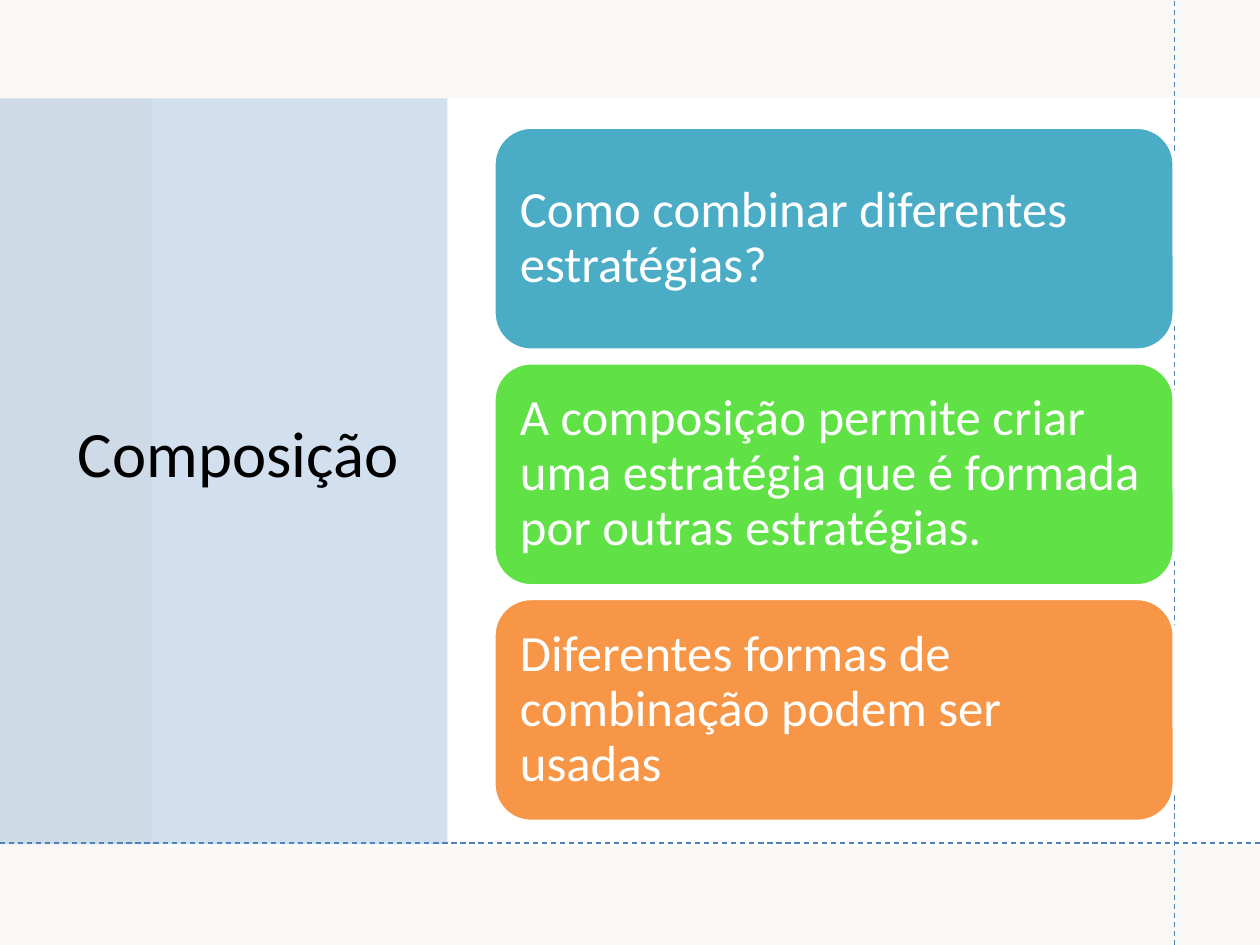
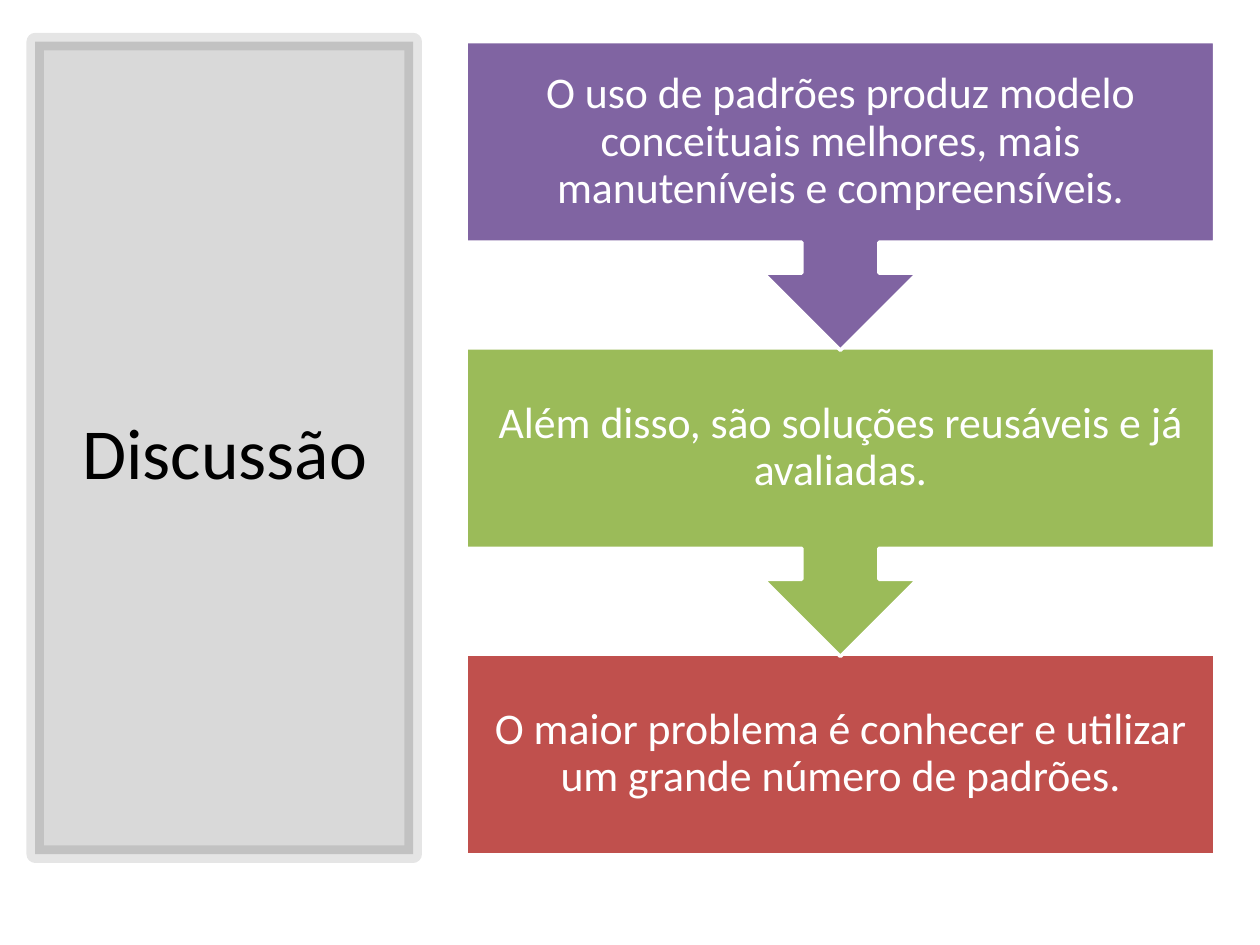
"""Build two slides on design patterns: stacked cards and a chain of callouts."""
from lxml import etree
from pptx import Presentation
from pptx.dml.color import RGBColor
from pptx.enum.dml import MSO_LINE
from pptx.enum.shapes import MSO_CONNECTOR, MSO_SHAPE
from pptx.enum.text import MSO_ANCHOR, PP_ALIGN
from pptx.oxml.ns import qn
from pptx.util import Pt

RECT = MSO_SHAPE.RECTANGLE
ROUNDED = MSO_SHAPE.ROUNDED_RECTANGLE
CALLOUT = MSO_SHAPE.DOWN_ARROW_CALLOUT
STRAIGHT = MSO_CONNECTOR.STRAIGHT
DASH = MSO_LINE.DASH
MIDDLE = MSO_ANCHOR.MIDDLE
LEFT, CENTER = PP_ALIGN.LEFT, PP_ALIGN.CENTER

SCALE = 9144
WIDTH, HEIGHT = 1000, 750
FONT = "Calibri"
WHITE, BLACK, BLUE, CREAM = "FFFFFF", "000000", "4F81BD", "F9F8F4"

COMPOSITION = {
    "title": "Composição",
    "cards": [
        ("Como combinar diferentes estratégias?", "4BACC6"),
        ("A composição permite criar uma estratégia que é formada por outras estratégias.", "60E146"),
        ("Diferentes formas de combinação podem ser usadas", "F79646"),
    ],
}
DISCUSSION = {
    "title": "Discussão",
    "steps": [
        ("O uso de padrões produz modelo conceituais melhores, mais manuteníveis e compreensíveis.", "8064A2"),
        ("Além disso, são soluções reusáveis e já avaliadas.", "9BBB59"),
        ("O maior problema é conhecer e utilizar um grande número de padrões.", "C0504D"),
    ],
}
GUIDES = [(932, HEIGHT, 932, 0), (0, 669, WIDTH, 669)]
CARD_LEFT, CARD_TOP, CARD_WIDTH, CARD_HEIGHT, CARD_GAP = 392, 101, 540, 177, 10
STEP_LEFT, STEP_TOP, STEP_WIDTH, STEP_PITCH = 370, 33, 594, 243
CALLOUT_HEIGHT, STEP_HEIGHT = 245, 159
CARD_TEXT = {"size": 29, "color": WHITE, "align": LEFT, "inset": 12, "spacing": 0.9}
STEP_TEXT = {"size": 25, "color": WHITE, "align": CENTER, "inset": 19, "spacing": 0.9}
TITLE_TEXT = {"color": BLACK, "align": CENTER, "inset": 10, "spacing": 1.0}


def px(*lengths):
    return [round(length * SCALE) for length in lengths]


def rgb(value):
    return RGBColor.from_string(value)


def paint(fill, color, opacity=100):
    fill.solid()
    fill.fore_color.rgb = rgb(color)
    if opacity < 100:
        for tint in fill._xPr.iter(qn("a:srgbClr")):
            etree.SubElement(tint, qn("a:alpha"), val=str(opacity * 1000))


def add_block(page, kind, place, color, opacity=100, line=None):
    block = page.shapes.add_shape(kind, *px(*place))
    block.shadow.inherit = False
    paint(block.fill, color, opacity)
    if line:
        line_color, width, line_opacity = line
        block.line.width = Pt(width)
        paint(block.line.fill, line_color, line_opacity)
    else:
        block.line.fill.background()
    return block


def write(box, text, style):
    frame = box.text_frame
    inset = px(style["inset"])[0]
    settings = {"word_wrap": True, "vertical_anchor": MIDDLE}
    settings |= {f"margin_{side}": inset for side in ("left", "top", "right", "bottom")}
    for name, value in settings.items():
        setattr(frame, name, value)
    para = frame.paragraphs[0]
    para.alignment = style["align"]
    para.line_spacing = style["spacing"]
    span = para.add_run()
    span.text = text
    for name, value in {"name": FONT, "size": Pt(style["size"]), "bold": False}.items():
        setattr(span.font, name, value)
    span.font.color.rgb = rgb(style["color"])


def add_title(page, text, place, size):
    write(page.shapes.add_textbox(*px(*place)), text, TITLE_TEXT | {"size": size})


def add_guide(page, ends):
    guide = page.shapes.add_connector(STRAIGHT, *px(*ends))
    guide.line.width = Pt(0.75)
    guide.line.dash_style = DASH
    guide.line.color.rgb = rgb(BLUE)
    etree.SubElement(guide._element.spPr, qn("a:effectLst"))


def add_page(deck, background):
    page = deck.slides.add_slide(deck.slide_layouts[6])
    paint(page.background.fill, background)
    return page


def build_composition(deck):
    page = add_page(deck, CREAM)
    add_block(page, RECT, (121, 78, WIDTH - 121, 594), WHITE)
    add_block(page, RECT, (0, 78, 355, 592), BLUE, 25)
    add_title(page, COMPOSITION["title"], (41, 74, 296, 569), 37)
    for ends in GUIDES:
        add_guide(page, ends)
    for index, (text, color) in enumerate(COMPOSITION["cards"]):
        top = CARD_TOP + index * (CARD_HEIGHT + CARD_GAP)
        place = (CARD_LEFT, top, CARD_WIDTH, CARD_HEIGHT)
        write(add_block(page, ROUNDED, place, color, line=(WHITE, 2, 100)), text, CARD_TEXT)


def build_discussion(deck):
    page = add_page(deck, WHITE)
    add_block(page, RECT, (28, 33, 300, 645), BLACK, 15, line=(BLACK, 10, 10))
    add_title(page, DISCUSSION["title"], (49, 70, 259, 575), 41)
    steps = DISCUSSION["steps"]
    for index, (text, color) in reversed(list(enumerate(steps))):
        last = index == len(steps) - 1
        kind, height = (RECT, STEP_HEIGHT) if last else (CALLOUT, CALLOUT_HEIGHT)
        place = (STEP_LEFT, STEP_TOP + index * STEP_PITCH, STEP_WIDTH, height)
        write(add_block(page, kind, place, color, line=(WHITE, 2, 100)), text, STEP_TEXT)


def main():
    deck = Presentation()
    deck.slide_width, deck.slide_height = px(WIDTH, HEIGHT)
    build_composition(deck)
    build_discussion(deck)
    deck.save("out.pptx")


if __name__ == "__main__":
    main()
